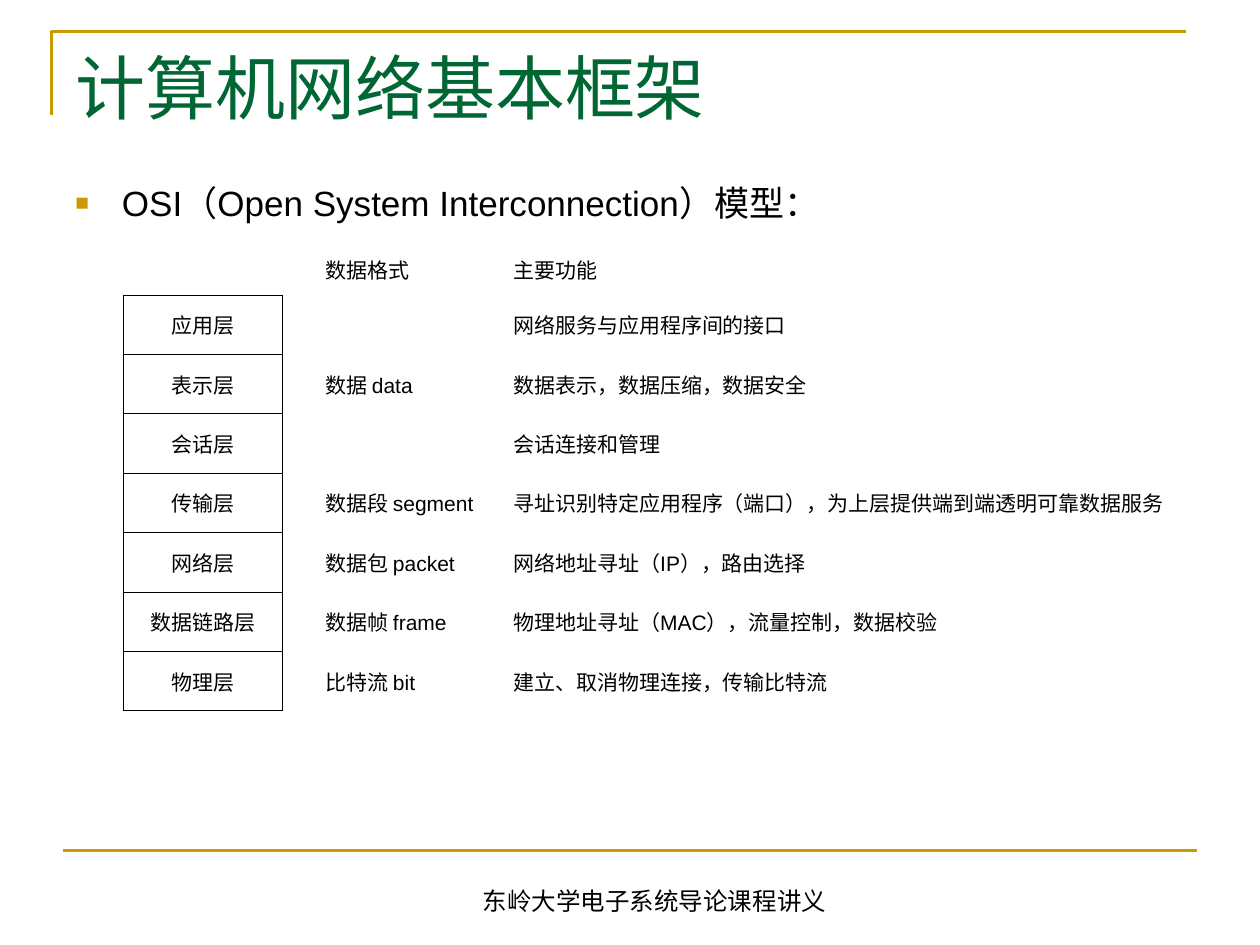
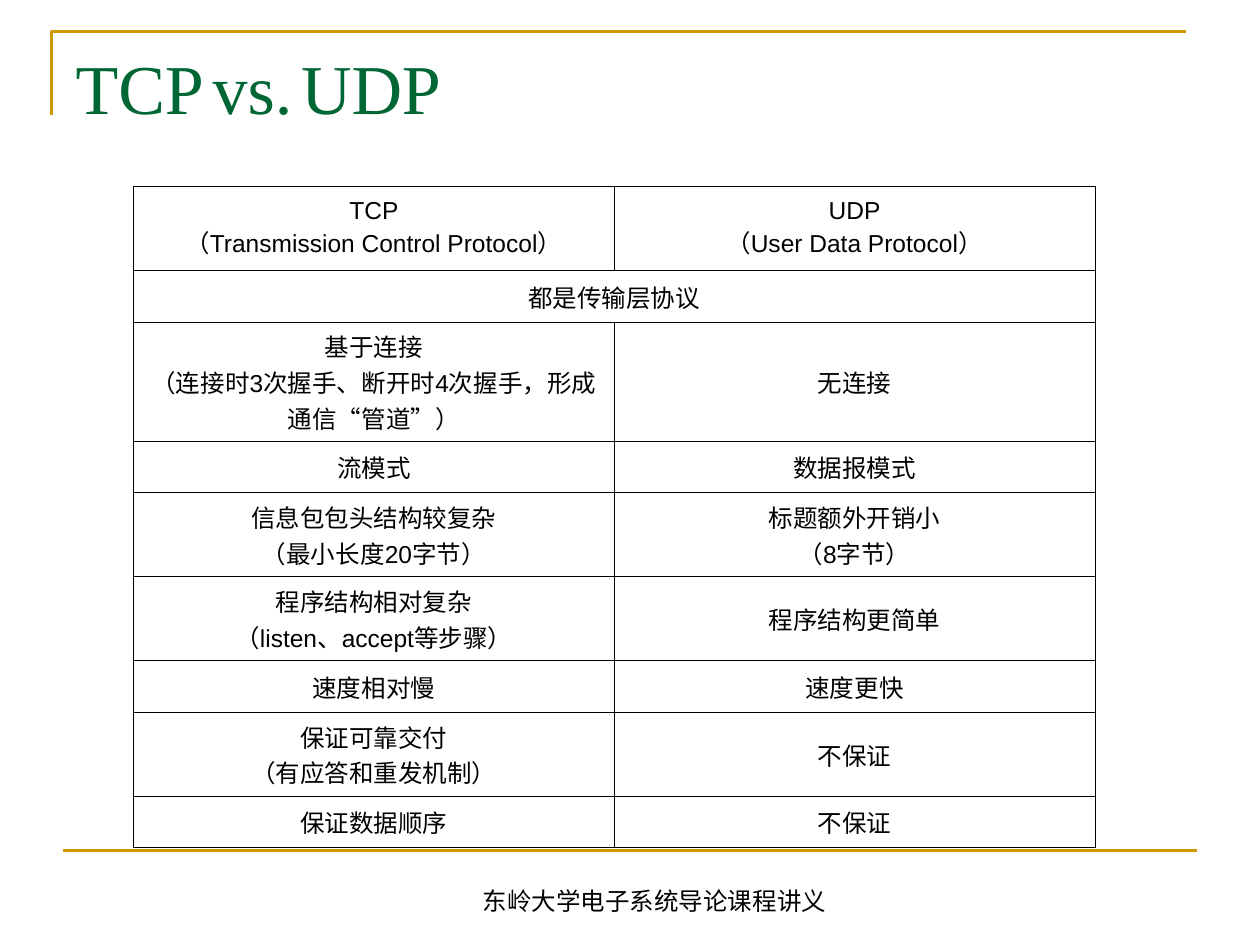
from lxml import etree
from pptx import Presentation
from pptx.dml.color import RGBColor
from pptx.enum.shapes import MSO_CONNECTOR
from pptx.enum.text import MSO_ANCHOR, MSO_AUTO_SIZE, PP_ALIGN
from pptx.oxml.ns import qn
from pptx.util import Inches, Pt

LEFT, CENTER, JUST = PP_ALIGN.LEFT, PP_ALIGN.CENTER, PP_ALIGN.JUSTIFY
TOP, MIDDLE = MSO_ANCHOR.TOP, MSO_ANCHOR.MIDDLE
FIXED, GROW = MSO_AUTO_SIZE.NONE, MSO_AUTO_SIZE.SHAPE_TO_FIT_TEXT
STRAIGHT = MSO_CONNECTOR.STRAIGHT

WIDTH, HEIGHT = Inches(10), Inches(7.5)
UNIT = WIDTH / 10
GOLD, GREEN, BLACK = "CC9900", "006633", "000000"
SANS, SERIF = "Arial", "Times New Roman"
PLAIN = "{2D5ABB26-0587-4C30-8999-92F81FD0307C}"
FRAME_BOX = (0.41, 0.25, 9, 0.66)
TITLE_BOX = (0.5, 0.3, 9, 0.93)
BODY_BOX = (0.5, 1.39, 9, 5.32)
FOOT_BOX = (0.98, 6.98, 8.43, 0.34)
FOOT = "东岭大学电子系统导论课程讲义"

LAYERS = [
    ("", "", "数据格式", "主要功能"),
    ("应用层", "", "数据 data", "网络服务与应用程序间的接口"),
    ("表示层", "", "", "数据表示，数据压缩，数据安全"),
    ("会话层", "", "", "会话连接和管理"),
    ("传输层", "", "数据段 segment", "寻址识别特定应用程序（端口），为上层提供端到端透明可靠数据服务"),
    ("网络层", "", "数据包 packet", "网络地址寻址（IP），路由选择"),
    ("数据链路层", "", "数据帧 frame", "物理地址寻址（MAC），流量控制，数据校验"),
    ("物理层", "", "比特流 bit", "建立、取消物理连接，传输比特流"),
]
VERSUS = [
    ("TCP\n（Transmission Control Protocol）", "UDP\n（User Data Protocol）"),
    ("都是传输层协议", ""),
    ("基于连接\n（连接时3次握手、断开时4次握手，形成通信“管道”）", "无连接"),
    ("流模式", "数据报模式"),
    ("信息包包头结构较复杂\n（最小长度20字节）", "标题额外开销小\n（8字节）"),
    ("程序结构相对复杂\n（listen、accept等步骤）", "程序结构更简单"),
    ("速度相对慢", "速度更快"),
    ("保证可靠交付\n（有应答和重发机制）", "不保证"),
    ("保证数据顺序", "不保证"),
]


def hue(code):
    """Turn a hex string into a colour."""
    return RGBColor.from_string(code)


def emu(*units):
    """Turn grid units into slide lengths."""
    return [round(u * UNIT) for u in units]


def add_run(para, text, size, font=SANS, color=BLACK):
    """Add one formatted run."""
    run = para.add_run()
    run.text = text
    run.font.size = Pt(size)
    run.font.name = font
    run.font.color.rgb = hue(color)


def set_frame(frame, anchor, fit):
    """Set wrapping, anchor and fit of a text frame."""
    frame.word_wrap = True
    frame.vertical_anchor = anchor
    frame.auto_size = fit
    return frame.paragraphs[0]


def add_bands(slide):
    """Draw the corner frame and the line above the footer."""
    left, top, wide, high = emu(*FRAME_BOX)
    pen = slide.shapes.build_freeform(left, top + high)
    pen.add_line_segments([(left, top), (left + wide, top)], close=False)
    frame = pen.convert_to_shape()
    frame.fill.background()
    frame.shadow.inherit = False
    rule = slide.shapes.add_connector(STRAIGHT, *emu(0.5, 6.75, 9.5, 6.75))
    etree.SubElement(rule._element.spPr, qn("a:effectLst"))
    for item in (frame, rule):
        item.line.color.rgb = hue(GOLD)
        item.line.width = Pt(1.5)


def add_foot(slide, box):
    """Place the footer text."""
    note = slide.shapes.add_textbox(*emu(*box))
    para = set_frame(note.text_frame, TOP, GROW)
    para.alignment = CENTER
    add_run(para, FOOT, 14)


def add_page(deck, title):
    """Add a slide with its shared parts and a title of (text, size) runs."""
    slide = deck.slides.add_slide(deck.slide_layouts[5])
    add_bands(slide)
    add_foot(slide, FOOT_BOX)
    head = slide.shapes.title
    head.left, head.top, head.width, head.height = emu(*TITLE_BOX)
    para = set_frame(head.text_frame, MIDDLE, FIXED)
    head.text_frame.margin_top, head.text_frame.margin_bottom = emu(0, 0.16)
    para.alignment = LEFT
    for text, size in title:
        add_run(para, text, size, SERIF, GREEN)
    return slide


def add_bullet(slide, box, text):
    """Place a line of body text with a square bullet."""
    body = slide.shapes.add_textbox(*emu(*box))
    para = set_frame(body.text_frame, TOP, FIXED)
    add_run(para, text, 20)
    props = para._p.get_or_add_pPr()
    indent, = emu(0.37)
    props.set("marL", str(indent))
    props.set("indent", str(-indent))
    tint = etree.SubElement(props, qn("a:buClr"))
    etree.SubElement(tint, qn("a:srgbClr"), val=GOLD)
    etree.SubElement(props, qn("a:buSzPct"), val="65000")
    etree.SubElement(props, qn("a:buFont"), typeface=SANS)
    etree.SubElement(props, qn("a:buChar"), char="■")


def set_edges(cell, sides):
    """Draw thin black borders on the named sides and clear the others."""
    props = cell._tc.get_or_add_tcPr()
    for side in "LRTB":
        line = etree.SubElement(props, qn("a:ln" + side), w=str(Pt(0.45)))
        if side in sides:
            fill = etree.SubElement(line, qn("a:solidFill"))
            etree.SubElement(fill, qn("a:srgbClr"), val=BLACK)
        else:
            etree.SubElement(line, qn("a:noFill"))


def add_grid(slide, box, cols, rows, data, size, align, edges, spans):
    """Place a table; align and edges are rules of row and column."""
    left, top, wide, high = emu(*box)
    shape = slide.shapes.add_table(len(rows), len(cols), left, top, wide, high)
    table = shape.table
    table.first_row = table.horz_banding = False
    shape._element.find(".//" + qn("a:tableStyleId")).text = PLAIN
    for col, share in zip(table.columns, cols):
        col.width = round(wide * share / sum(cols))
    for row, share in zip(table.rows, rows):
        row.height = round(high * share / sum(rows))
    for r, texts in enumerate(data):
        for c, text in enumerate(texts):
            cell = table.cell(r, c)
            cell.vertical_anchor = MIDDLE
            set_edges(cell, edges(r, c))
            cell.fill.background()
            frame = cell.text_frame
            for n, part in enumerate(text.split("\n")):
                para = frame.add_paragraph() if n else frame.paragraphs[0]
                para.alignment = align(r, c)
                para.font.size = Pt(size)
                if part:
                    add_run(para, part, size)
    for first, last in spans:
        table.cell(*first).merge(table.cell(*last))


def layer_edges(row, col):
    """Name the borders that box in the stack of layers."""
    if col == 0:
        return "LRTB" if row else "B"
    return "L" if col == 1 and row else ""


def osi_slide(deck):
    """Build the slide on the layer model."""
    slide = add_page(deck, [("计算机网络基本框架", 40)])
    add_bullet(slide, BODY_BOX, "OSI（Open System Interconnection）模型：")
    add_grid(slide, (0.98, 1.93, 8.39, 3.71), (1.26, 0.24, 1.49, 5.39),
             [0.41] + [0.47] * 7, LAYERS, 12,
             lambda r, c: JUST if c else CENTER, layer_edges,
             [((1, c), (3, c)) for c in (1, 2)])


def versus_slide(deck):
    """Build the slide that compares the two protocols."""
    slide = add_page(deck, [("TCP", 40), (" ", 20), ("vs.", 40), (" ", 20), ("UDP", 40)])
    one, two, three = 0.41, 0.67, 0.95
    add_grid(slide, (1.06, 1.48, 7.63, 5.25), (1, 1),
             (two, one, three, one, two, two, one, two, one), VERSUS, 14,
             lambda r, c: CENTER, lambda r, c: "LRTB", [((1, 0), (1, 1))])


def main():
    """Build and save the deck."""
    deck = Presentation()
    deck.slide_width, deck.slide_height = WIDTH, HEIGHT
    osi_slide(deck)
    versus_slide(deck)
    deck.save("out.pptx")


if __name__ == "__main__":
    main()
